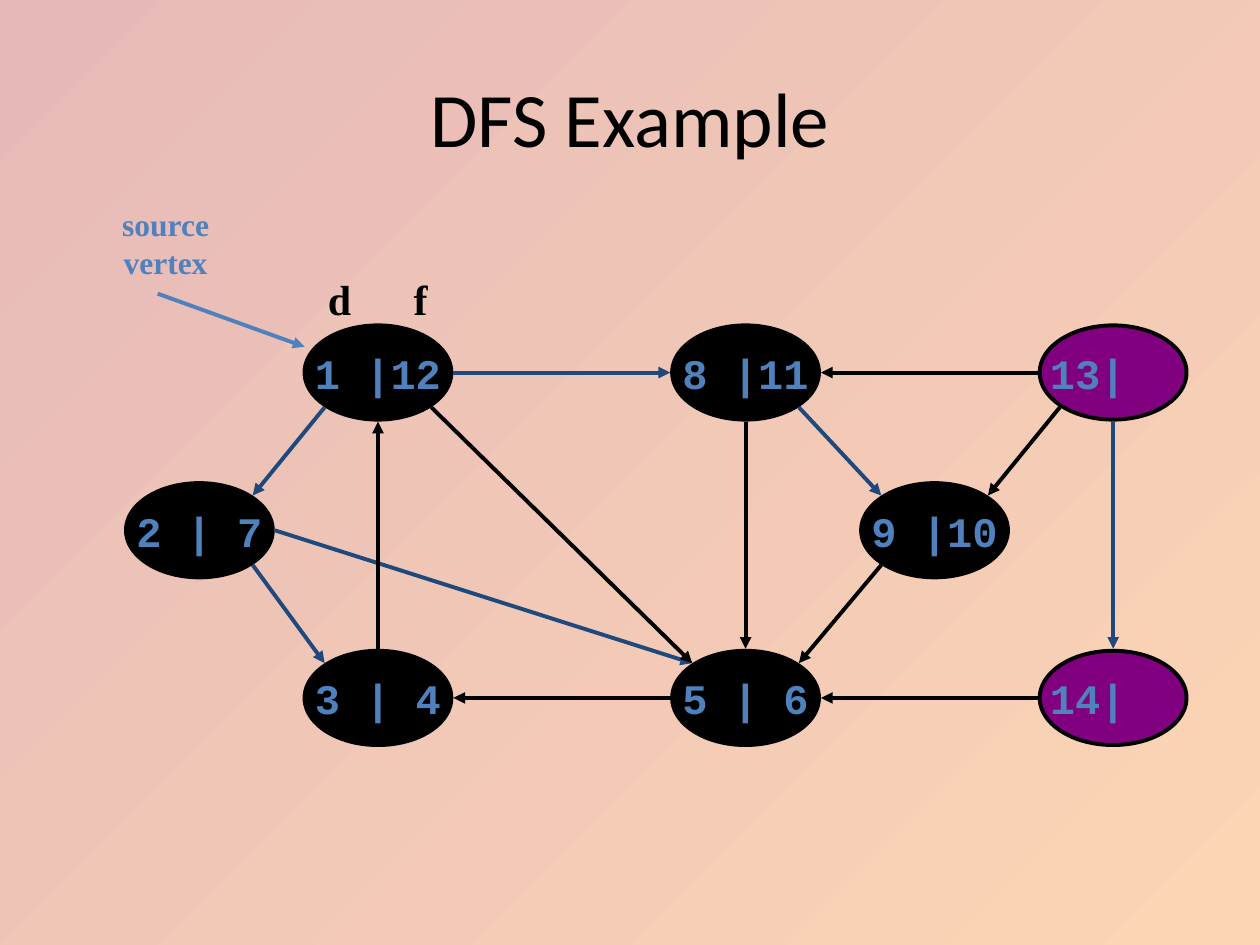
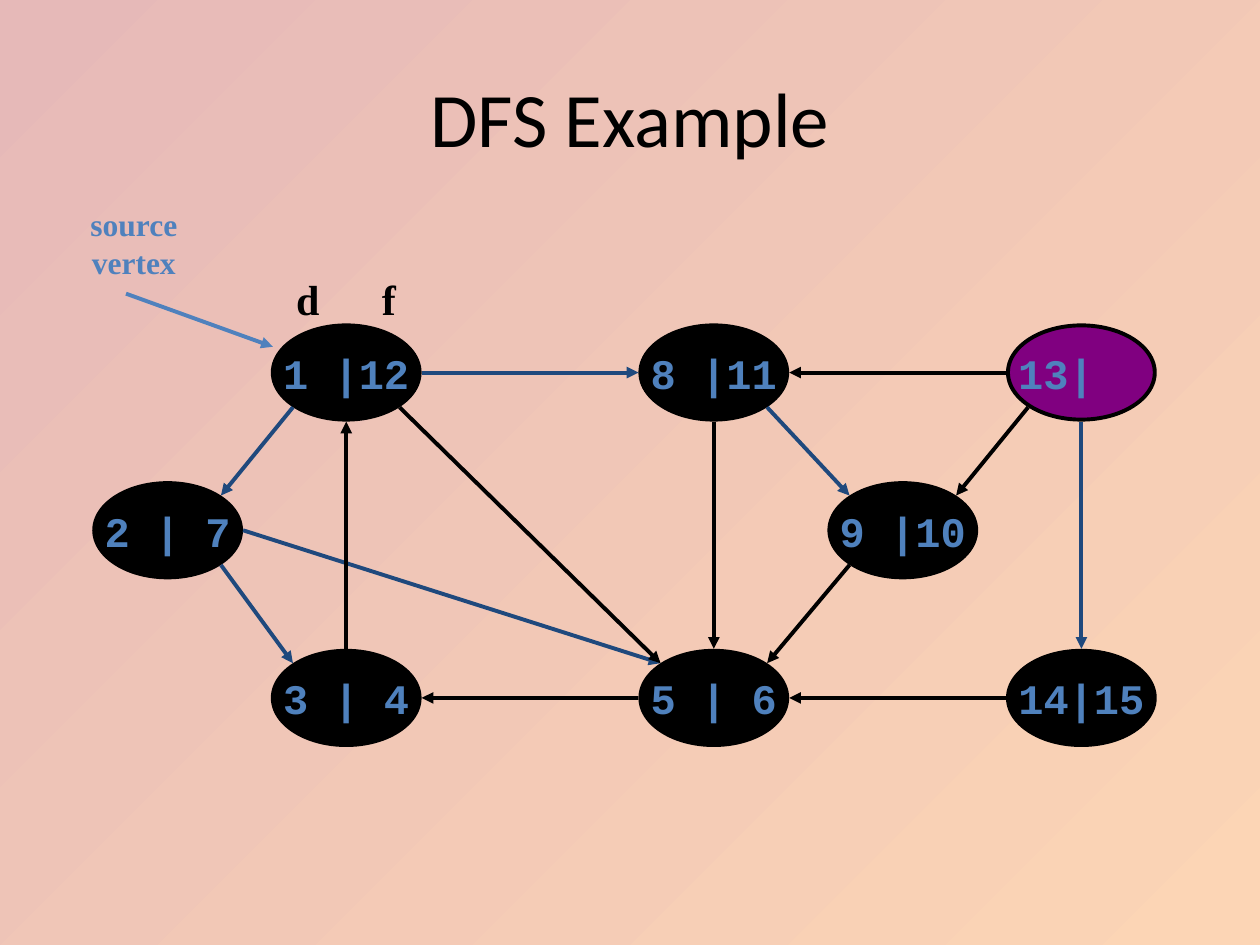
from math import sqrt

from lxml.etree import SubElement
from pptx import Presentation
from pptx.dml.color import RGBColor
from pptx.enum.shapes import MSO_CONNECTOR, MSO_SHAPE
from pptx.enum.text import MSO_ANCHOR, PP_ALIGN
from pptx.oxml.ns import qn
from pptx.util import Cm, Pt

COLORS = {
    "black": "000000",
    "open": "800080",
    "label": "4F81BD",
    "tree": "1F497D",
    "sky_start": "E6B9B8",
    "sky_end": "FCD5B5",
}

VERTEX_W, VERTEX_H = 2.96, 1.9
COLUMN_STEP = 7.41
LEFT, MIDDLE, RIGHT = (3.6 + COLUMN_STEP * i for i in range(3))
TOP, CENTER, BOTTOM = 6.56, 9.74, 13.12
VERTICES = {
    "s": (LEFT, TOP),
    "t": (MIDDLE, TOP),
    "u": (RIGHT, TOP),
    "v": (0, CENTER),
    "w": (2 * COLUMN_STEP, CENTER),
    "x": (LEFT, BOTTOM),
    "y": (MIDDLE, BOTTOM),
    "z": (RIGHT, BOTTOM),
}

DIAGONAL = 1 / sqrt(2)
SIDES = {
    "n": (0, -1),
    "s": (0, 1),
    "w": (-1, 0),
    "e": (1, 0),
    "nw": (-DIAGONAL, -DIAGONAL),
    "ne": (DIAGONAL, -DIAGONAL),
    "sw": (-DIAGONAL, DIAGONAL),
    "se": (DIAGONAL, DIAGONAL),
}
OUTLINE_GAP = 0.04

EDGES = [
    ("s", "sw", "v", "ne", "tree"),
    ("v", "se", "x", "nw", "tree"),
    ("v", "e", "y", "nw", "tree"),
    ("y", "w", "x", "e", "black"),
    ("x", "n", "s", "s", "black"),
    ("s", "se", "y", "nw", "black"),
    ("t", "s", "y", "n", "black"),
    ("s", "e", "t", "w", "tree"),
    ("u", "w", "t", "e", "black"),
    ("t", "se", "w", "nw", "tree"),
    ("u", "sw", "w", "ne", "black"),
    ("u", "s", "z", "n", "tree"),
    ("z", "w", "y", "e", "black"),
    ("w", "sw", "y", "ne", "black"),
]

FINISHED = {
    "s": "1 |12",
    "t": "8 |11",
    "u": "13|",
    "v": "2 | 7",
    "w": "9 |10",
    "x": "3 | 4",
    "y": "5 | 6",
}
STEPS = [
    (2.54, {**FINISHED, "z": "14|"}),
    (1.9, {**FINISHED, "z": "14|15"}),
]


def color(name):
    return RGBColor.from_string(COLORS[name])


def style(paragraph, font_name, size, color_name, bold=True, align=PP_ALIGN.CENTER):
    paragraph.alignment = align
    font = paragraph.font
    font.name, font.size, font.bold = font_name, Pt(size), bold
    font.color.rgb = color(color_name)


def paint_background(master):
    fill = master.background.fill
    fill.gradient()
    fill.gradient_angle = 315
    for stop, name in zip(fill.gradient_stops, ("sky_start", "sky_end")):
        stop.color.rgb = color(name)


def add_title(slide, text):
    title = slide.shapes.title
    title.left, title.top, title.width, title.height = (
        Cm(1.27), Cm(0.76), Cm(22.86), Cm(3.18))
    title.text_frame.text = text
    title.text_frame.vertical_anchor = MSO_ANCHOR.MIDDLE
    style(title.text_frame.paragraphs[0], "Calibri", 44, "black", bold=False)


def add_vertex(slide, x, y, times):
    is_open = times.endswith("|")
    vertex = slide.shapes.add_shape(
        MSO_SHAPE.OVAL, Cm(x), Cm(y), Cm(VERTEX_W), Cm(VERTEX_H))
    vertex.shadow.inherit = False
    vertex.fill.solid()
    vertex.fill.fore_color.rgb = color("open" if is_open else "black")
    vertex.line.color.rgb = color("black")
    vertex.line.width = Pt(2.25)
    frame = vertex.text_frame
    frame.text = times
    frame.word_wrap = False
    frame.vertical_anchor = MSO_ANCHOR.MIDDLE
    frame.margin_left = 0
    frame.margin_right = Cm(1.02) if is_open else 0
    style(frame.paragraphs[0], "Courier New", 24, "label")


def add_arrow(slide, start, end, color_name):
    arrow = slide.shapes.add_connector(
        MSO_CONNECTOR.STRAIGHT, *(Cm(value) for value in (*start, *end)))
    arrow.line.color.rgb = color(color_name)
    arrow.line.width = Pt(2.25)
    SubElement(arrow.line._get_or_add_ln(), qn("a:tailEnd"), type="triangle")
    SubElement(arrow._element.spPr, qn("a:effectLst"))


def add_label(slide, x, y, width, height, text):
    label = slide.shapes.add_textbox(Cm(x), Cm(y), Cm(width), Cm(height))
    label.text_frame.text = text
    label.text_frame.word_wrap = False
    return label.text_frame


def add_source_label(slide, origin):
    frame = add_label(slide, origin - 0.33, 4.01, 2.26, 1.78, "source\vvertex")
    style(frame.paragraphs[0], "Times New Roman", 18, "label")
    add_arrow(slide, (origin + 0.64, 5.92), (origin + LEFT, 6.99), "label")


def add_time_heading(slide, origin):
    frame = add_label(slide, origin + LEFT, 5.08, VERTEX_W, VERTEX_H, "d\tf")
    frame.word_wrap = True
    frame.vertical_anchor = MSO_ANCHOR.MIDDLE
    frame.margin_left = Cm(0.47)
    heading = frame.paragraphs[0]
    tabs = SubElement(heading._p.get_or_add_pPr(), qn("a:tabLst"))
    SubElement(tabs, qn("a:tab"), pos=str(Cm(1.73)), algn="l")
    style(heading, "Times New Roman", 24, "black", align=PP_ALIGN.LEFT)


def rim_point(origin, vertex, side):
    x, y = VERTICES[vertex]
    dx, dy = SIDES[side]
    return (origin + x + VERTEX_W / 2 + dx * (VERTEX_W / 2 + OUTLINE_GAP),
            y + VERTEX_H / 2 + dy * (VERTEX_H / 2 + OUTLINE_GAP))


def add_graph(slide, origin, times):
    for vertex, (x, y) in VERTICES.items():
        add_vertex(slide, origin + x, y, times[vertex])
    for tail, tail_side, head, head_side, color_name in EDGES:
        add_arrow(slide, rim_point(origin, tail, tail_side),
                  rim_point(origin, head, head_side), color_name)


def main():
    deck = Presentation()
    deck.slide_width, deck.slide_height = Cm(25.4), Cm(19.05)
    paint_background(deck.slide_master)
    for origin, times in STEPS:
        slide = deck.slides.add_slide(deck.slide_layouts[5])
        add_title(slide, "DFS Example")
        add_graph(slide, origin, times)
        add_source_label(slide, origin)
        add_time_heading(slide, origin)
    deck.save("out.pptx")


if __name__ == "__main__":
    main()
